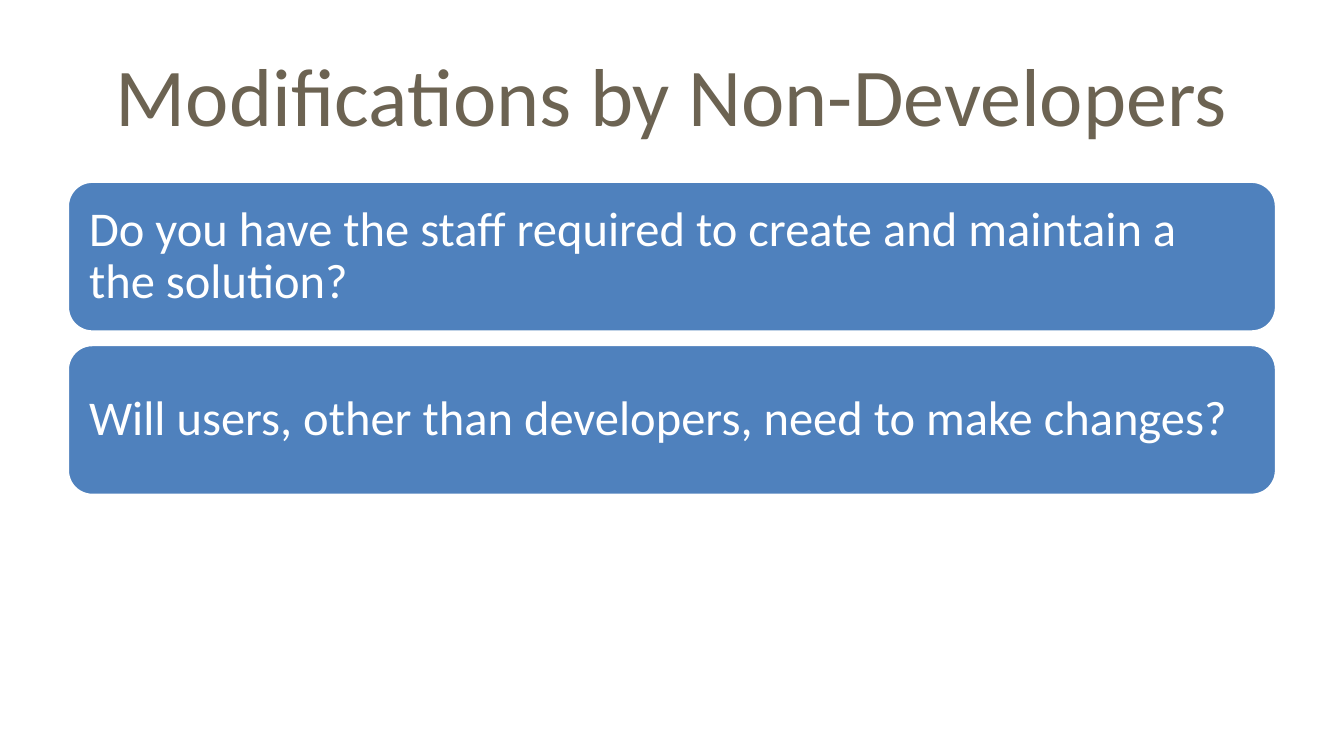
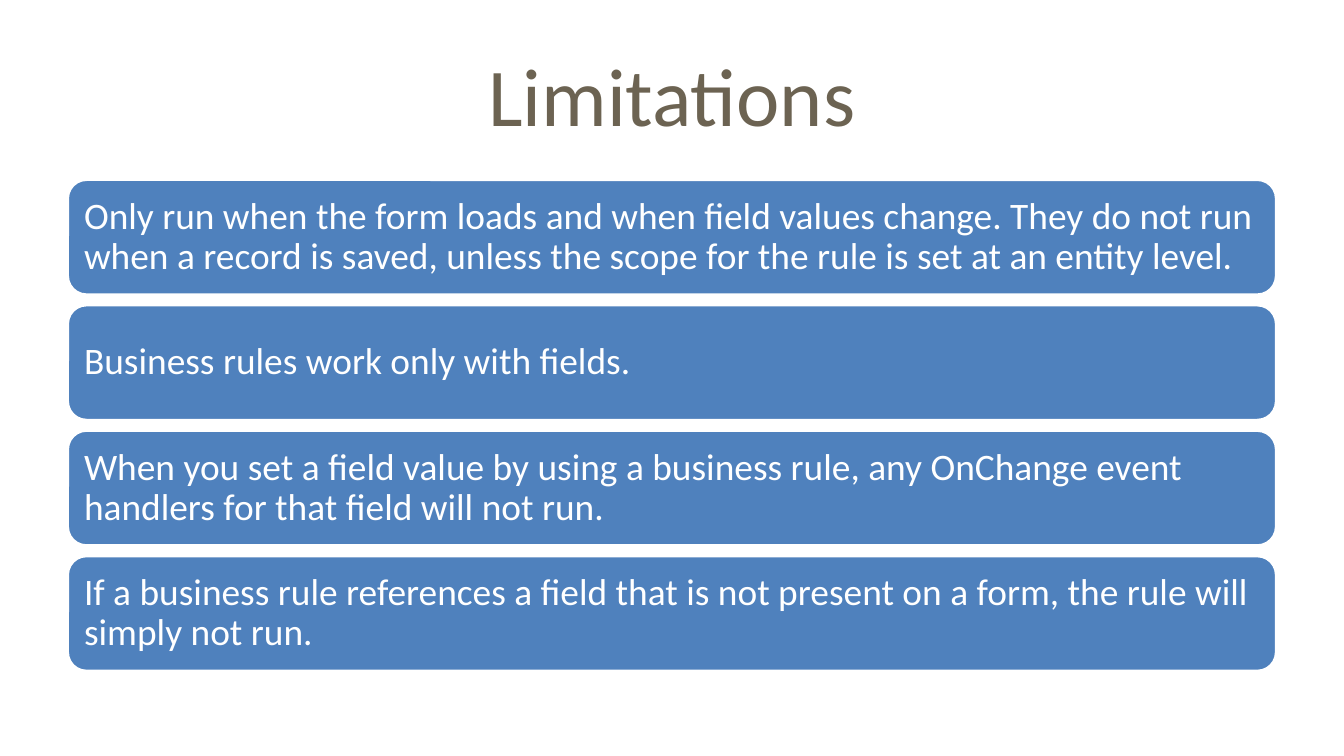
from dataclasses import dataclass

from pptx import Presentation
from pptx.dml.color import RGBColor
from pptx.enum.shapes import MSO_SHAPE as Shape
from pptx.enum.text import MSO_ANCHOR as Anchor, PP_ALIGN as Align
from pptx.util import Pt

SLIDES = [
    {
        "title": "Modifications by Non-Developers",
        "bars": [
            "Do you have the staff required to create and maintain a the solution?",
            "Will users, other than developers, need to make changes?",
        ],
        "top": 97, "height": 81, "gap": 6.5, "text_size": 26, "inset": 7.8,
    },
    {
        "title": "Limitations",
        "bars": [
            "Only run when the form loads and when field values change. They do not run "
            "when a record is saved, unless the scope for the rule is set at an entity level.",
            "Business rules work only with fields.",
            "When you set a field value by using a business rule, any OnChange event "
            "handlers for that field will not run.",
            "If a business rule references a field that is not present on a form, "
            "the rule will simply not run.",
        ],
        "top": 96, "height": 62.2, "gap": 5, "text_size": 20, "inset": 6,
    },
]


@dataclass(frozen=True)
class Theme:
    font: str = "Calibri"
    title_color: RGBColor = RGBColor(0x6C, 0x63, 0x52)
    bar_color: RGBColor = RGBColor(0x4F, 0x81, 0xBD)
    white: RGBColor = RGBColor(0xFF, 0xFF, 0xFF)
    title_size: float = 44
    outline: float = 2


THEME = Theme()
SLIDE_SIZE = (720, 405)
MARGIN = 36
CONTENT_WIDTH = SLIDE_SIZE[0] - 2 * MARGIN
TITLE_TOP, TITLE_HEIGHT = 16.5, 67.5


def set_attributes(target, values):
    for name, value in values.items():
        setattr(target, name, value)


def write(shape, text, size, color, align, **frame_format):
    frame = shape.text_frame
    frame.text = text
    set_attributes(frame, {"word_wrap": True, "vertical_anchor": Anchor.MIDDLE, **frame_format})
    paragraph = frame.paragraphs[0]
    paragraph.alignment = align
    font = paragraph.runs[0].font
    set_attributes(font, {"name": THEME.font, "size": Pt(size)})
    font.color.rgb = color
    return paragraph


def add_title(slide, text):
    box = slide.shapes.add_textbox(
        Pt(MARGIN), Pt(TITLE_TOP), Pt(CONTENT_WIDTH), Pt(TITLE_HEIGHT))
    write(box, text, THEME.title_size, THEME.title_color, Align.CENTER)


def add_bar(slide, text, top, height, text_size, inset):
    bar = slide.shapes.add_shape(
        Shape.ROUNDED_RECTANGLE, Pt(MARGIN), Pt(top), Pt(CONTENT_WIDTH), Pt(height))
    bar.shadow.inherit = False
    bar.fill.solid()
    bar.fill.fore_color.rgb = THEME.bar_color
    bar.line.color.rgb = THEME.white
    bar.line.width = Pt(THEME.outline)
    sides = ("left", "top", "right", "bottom")
    insets = {f"margin_{side}": Pt(inset) for side in sides}
    paragraph = write(bar, text, text_size, THEME.white, Align.LEFT, **insets)
    paragraph.line_spacing = 0.9


def main():
    presentation = Presentation()
    presentation.slide_width, presentation.slide_height = map(Pt, SLIDE_SIZE)
    blank = presentation.slide_layouts[6]
    for content in SLIDES:
        slide = presentation.slides.add_slide(blank)
        add_title(slide, content["title"])
        pitch = content["height"] + content["gap"]
        for row, text in enumerate(content["bars"]):
            add_bar(slide, text, content["top"] + row * pitch, content["height"],
                    content["text_size"], content["inset"])
    presentation.save("out.pptx")


if __name__ == "__main__":
    main()
